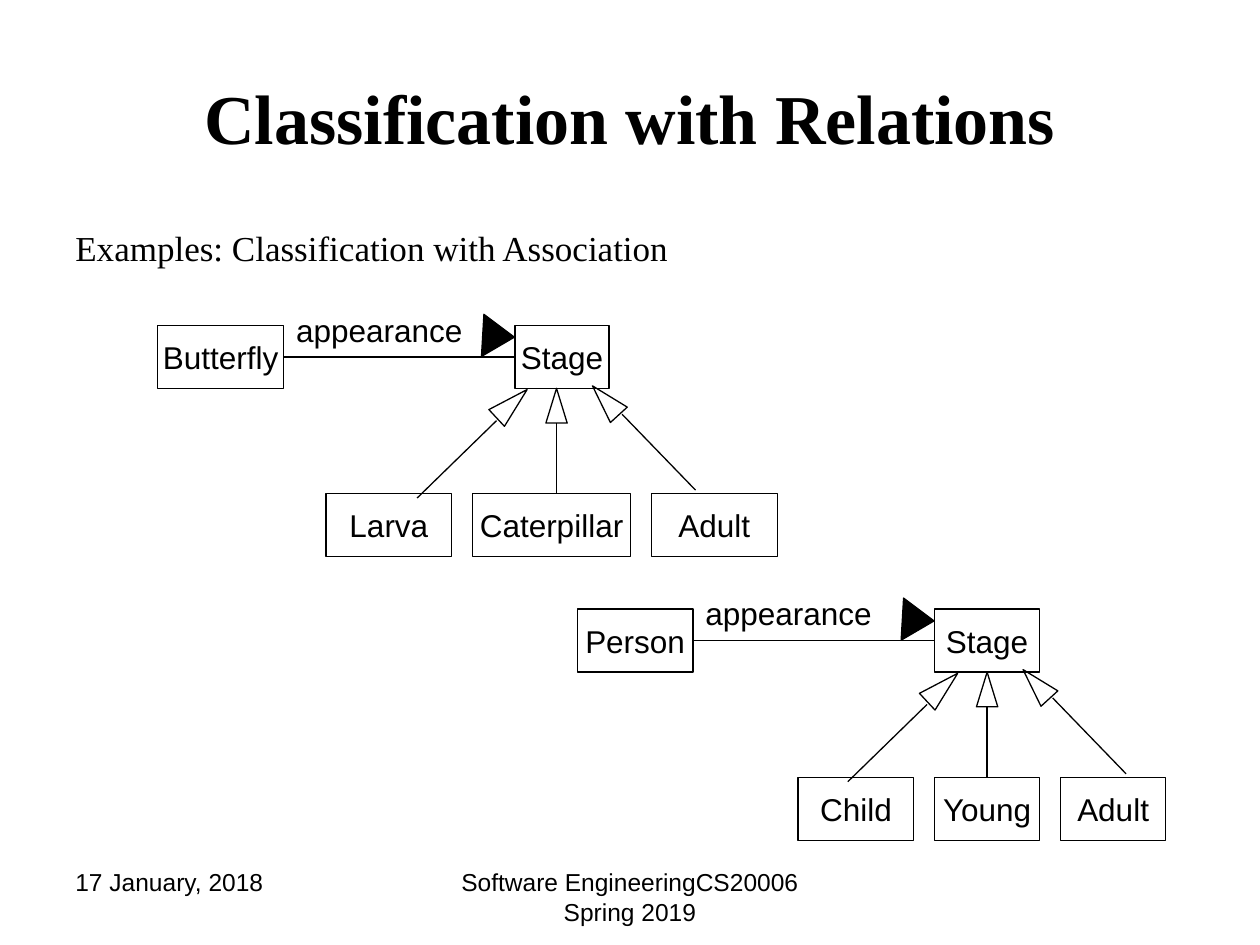
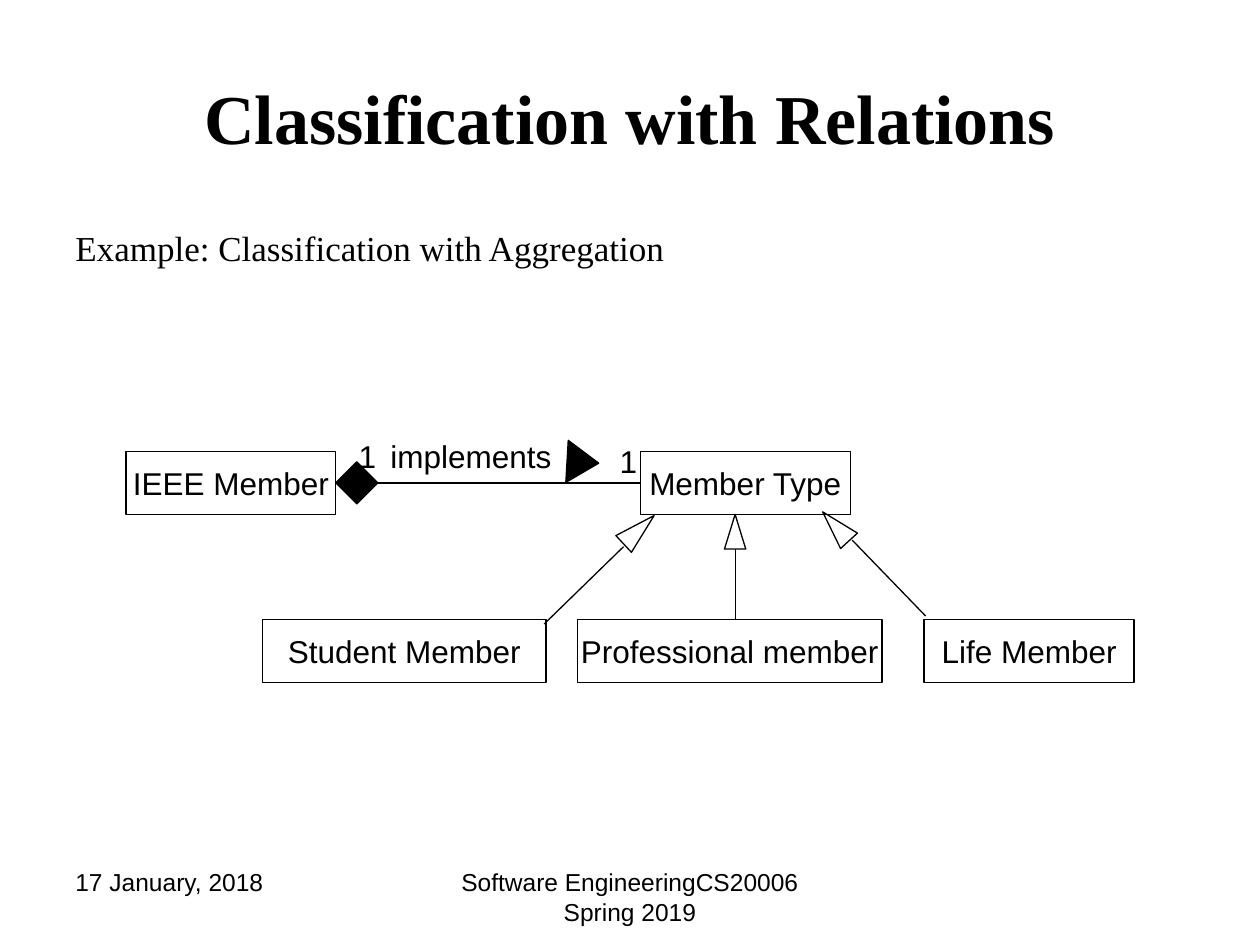
from dataclasses import dataclass

from lxml.etree import SubElement
from pptx import Presentation
from pptx.dml.color import RGBColor
from pptx.enum.shapes import MSO_CONNECTOR as Connector, MSO_SHAPE as Shape
from pptx.enum.text import MSO_ANCHOR as Anchor, PP_ALIGN as Align
from pptx.oxml.ns import qn
from pptx.util import Cm, Pt


@dataclass(frozen=True)
class Theme:
    ink: RGBColor = RGBColor(0, 0, 0)
    serif: str = "Times New Roman"
    sans: str = "Arial"
    title_size: float = 40
    body_size: float = 20
    label_size: float = 18
    footer_size: float = 14
    line_width: float = 0.75


@dataclass(frozen=True)
class ClassDiagram:
    left: float
    top: float
    whole: tuple
    kind: tuple
    relation: str
    subclasses: tuple
    arrow_center: float
    arrow_spread: float = 0
    marker_gap: float = 0
    aggregation: bool = False


THEME = Theme()
CLASS_HEIGHT = 1.27
SUBCLASS_DROP = 3.39
DIAMOND_SIZE = 0.85

ASSOCIATIONS = (
    ClassDiagram(
        3.18, 6.56, ("Butterfly", 0, 2.54), ("Stage", 7.2, 1.9), "appearance",
        (("Larva", 3.39, 2.54), ("Caterpillar", 6.35, 3.18), ("Adult", 9.95, 2.54)),
        arrow_center=8.04,
    ),
    ClassDiagram(
        11.64, 12.28, ("Person", 0, 2.33), ("Stage", 7.2, 2.12), "appearance",
        (("Child", 4.45, 2.33), ("Young", 7.2, 2.12), ("Adult", 9.74, 2.12)),
        arrow_center=8.26,
    ),
)
AGGREGATIONS = (
    ClassDiagram(
        2.54, 9.1, ("IEEE Member", 0, 4.23), ("Member Type", 10.37, 4.23), "implements",
        (("Student Member", 2.75, 5.72), ("Professional member", 9.1, 6.14),
         ("Life Member", 16.09, 4.23)),
        arrow_center=12.28, arrow_spread=1.04, marker_gap=0.83, aggregation=True,
    ),
)


def write_text(shape, text, *, size, font=THEME.sans, bold=False, align=Align.LEFT,
               anchor=Anchor.TOP, wrap=True):
    frame = shape.text_frame
    frame.word_wrap = wrap
    frame.vertical_anchor = anchor
    paragraph = frame.paragraphs[0]
    paragraph.text = text
    paragraph.alignment = align
    paragraph.font.size = Pt(size)
    paragraph.font.name = font
    paragraph.font.bold = bold
    paragraph.font.color.rgb = THEME.ink


def add_text(slide, text, left, top, width, height, **text_format):
    box = slide.shapes.add_textbox(Cm(left), Cm(top), Cm(width), Cm(height))
    write_text(box, text, **text_format)


def add_outline(slide, preset, left, top, width, height, *, rotation=0, filled=False):
    shape = slide.shapes.add_shape(preset, Cm(left), Cm(top), Cm(width), Cm(height))
    shape.shadow.inherit = False
    shape.rotation = rotation
    if filled:
        shape.fill.solid()
        shape.fill.fore_color.rgb = THEME.ink
    else:
        shape.fill.background()
    shape.line.color.rgb = THEME.ink
    shape.line.width = Pt(THEME.line_width)
    return shape


def add_triangle(slide, center_x, center_y, width, height, **shape_format):
    add_outline(slide, Shape.FLOWCHART_EXTRACT, center_x - width / 2,
                center_y - height / 2, width, height, **shape_format)


def add_line(slide, start_x, start_y, end_x, end_y):
    line = slide.shapes.add_connector(
        Connector.STRAIGHT, Cm(start_x), Cm(start_y), Cm(end_x), Cm(end_y))
    line.line.color.rgb = THEME.ink
    line.line.width = Pt(THEME.line_width)
    SubElement(line._element.spPr, qn("a:effectLst"))


def add_class(slide, name, left, top, width):
    box = add_outline(slide, Shape.RECTANGLE, left, top, width, CLASS_HEIGHT)
    write_text(box, name, size=THEME.label_size, align=Align.CENTER,
               anchor=Anchor.MIDDLE, wrap=False)


def add_label(slide, text, left, top, width):
    add_text(slide, text, left, top, width, 1.02, size=THEME.label_size, wrap=False)


def add_inheritance(slide, center, top, spread):
    add_triangle(slide, center, top + 0.35, 0.43, 0.7)
    add_line(slide, center, top + 0.7, center, top + SUBCLASS_DROP - CLASS_HEIGHT)

    right = center + spread
    add_triangle(slide, right + 0.99, top + 0.24, 0.46, 0.79, rotation=317.7)
    add_line(slide, right + 1.32, top + 0.52, right + 2.8, top + 2.05)

    left = center - spread
    add_triangle(slide, left - 0.9, top + 0.31, 0.46, 0.84, rotation=47)
    add_line(slide, left - 1.21, top + 0.65, left - 2.81, top + 2.21)


def add_relation(slide, diagram, start, end):
    top = diagram.top
    middle = top + CLASS_HEIGHT / 2
    line_start = start
    if diagram.aggregation:
        line_start += DIAMOND_SIZE
        add_outline(slide, Shape.FLOWCHART_DECISION, start, middle - DIAMOND_SIZE / 2,
                    DIAMOND_SIZE, DIAMOND_SIZE, filled=True)
        add_label(slide, "1", start + 0.21, top - 0.42, 0.86)
        add_label(slide, "1", end - 0.67, top - 0.32, 0.86)
    add_line(slide, line_start, middle, end, middle)
    add_triangle(slide, end - 0.33 - diagram.marker_gap, top + 0.22, 0.85, 0.64,
                 rotation=93.3, filled=True)
    add_label(slide, diagram.relation, line_start, top - 0.42, 3.86)


def add_class_diagram(slide, diagram):
    left, top = diagram.left, diagram.top
    for name, offset, width in (diagram.whole, diagram.kind):
        add_class(slide, name, left + offset, top, width)
    for name, offset, width in diagram.subclasses:
        add_class(slide, name, left + offset, top + SUBCLASS_DROP, width)
    add_relation(slide, diagram, left + diagram.whole[2], left + diagram.kind[1])
    add_inheritance(slide, left + diagram.arrow_center, top + CLASS_HEIGHT,
                    diagram.arrow_spread)


def add_footer(slide, left, top):
    add_text(slide, "17 January, 2018", left, top, 5.93, 1.32, size=THEME.footer_size)
    add_text(slide, "Software EngineeringCS20006 Spring 2019", left + 7.41, top,
             8.04, 1.32, size=THEME.footer_size, align=Align.CENTER)


def add_diagram_slide(presentation, heading, diagrams):
    slide = presentation.slides.add_slide(presentation.slide_layouts[6])
    add_footer(slide, 1.27, 17.36)
    add_text(slide, "Classification with Relations", 1.27, 0.76, 22.86, 3.18,
             size=THEME.title_size, font=THEME.serif, bold=True,
             align=Align.CENTER, anchor=Anchor.MIDDLE)
    add_text(slide, heading, 1.27, 4.45, 22.86, 12.57, size=THEME.body_size,
             font=THEME.serif, align=Align.JUSTIFY)
    for diagram in diagrams:
        add_class_diagram(slide, diagram)


def main():
    presentation = Presentation()
    presentation.slide_width = Cm(25.4)
    presentation.slide_height = Cm(19.05)
    add_diagram_slide(presentation, "Examples: Classification with Association", ASSOCIATIONS)
    add_diagram_slide(presentation, "Example: Classification with Aggregation", AGGREGATIONS)
    presentation.save("out.pptx")


if __name__ == "__main__":
    main()
